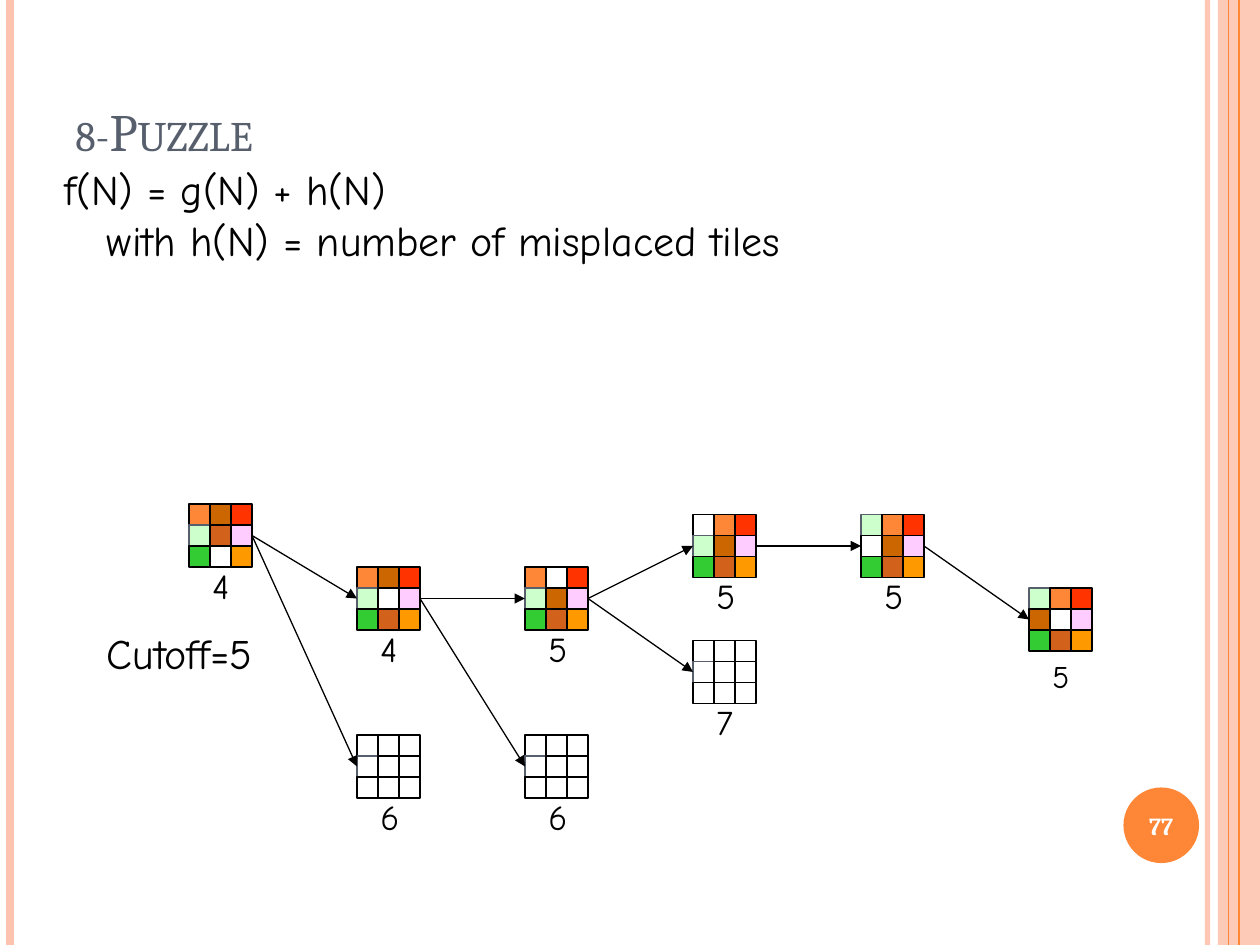
from lxml.etree import SubElement
from pptx import Presentation
from pptx.dml.color import RGBColor
from pptx.enum.shapes import MSO_CONNECTOR, MSO_SHAPE
from pptx.enum.text import MSO_ANCHOR, PP_ALIGN
from pptx.oxml.ns import qn
from pptx.util import Pt

ORANGE, PEACH, SLATE, BLACK, WHITE = "FE8637", "FEC3AE", "575F6D", "000000", "FFFFFF"
HEADING_FONT, BODY_FONT = "Cambria", "Comic Neue"
WIDTH, HEIGHT = 720, 540
TILE = 12

# Tile letter -> fill; "_" is the empty square, "g" and "G" have a slate outline
TILES = {"O": ORANGE, "B": "CC6600", "R": "FF3300", "G": "CCFFCC", "D": "D2611C",
         "P": "FFCCFF", "L": "33CC33", "Y": "FF9900", "_": WHITE, "g": WHITE}
UNEXPANDED = "___ g__ ___"

# Search nodes: name -> (depth, top, board rows, f value)
NODES = {
    "start": (0, 288, "OBR GDP L_Y", "4"),
    "up": (1, 324, "OBR G_P LDY", "4"),
    "cut 1": (1, 420, UNEXPANDED, "6"),
    "up up": (2, 324, "O_R GBP LDY", "5"),
    "cut 2": (2, 420, UNEXPANDED, "6"),
    "left": (3, 294, "_OR GBP LDY", "5"),
    "cut 3": (3, 366, UNEXPANDED, "7"),
    "down": (4, 294, "GOR _BP LDY", "5"),
    "right": (5, 336, "GOR B_P LDY", "5"),
}
MOVES = [("start", "up"), ("start", "cut 1"), ("up", "up up"), ("up", "cut 2"),
         ("up up", "left"), ("up up", "cut 3"), ("left", "down"), ("down", "right")]
FIRST_LEFT, DEPTH_STEP = 108, 96

# Vertical rails: x, colour, width, opacity in percent
RAILS = [(690, PEACH, 3, 93), (5.5, PEACH, 4.5, 100), (708, ORANGE, 1.5, 100),
         (702, ORANGE, 0.75, 100)]


def rgb(value):
    return RGBColor.from_string(value)


def set_opacity(element, percent):
    color = next(element.iter(qn("a:srgbClr")))
    SubElement(color, qn("a:alpha")).set("val", str(percent * 1000))


def add_filled(shapes, kind, box, fill, outline=None):
    shape = shapes.add_shape(kind, *map(Pt, box))
    shape.shadow.inherit = False
    shape.fill.solid()
    shape.fill.fore_color.rgb = rgb(fill)
    if outline:
        shape.line.color.rgb = rgb(outline)
        shape.line.width = Pt(0.75)
    else:
        shape.line.fill.background()
    return shape


def add_line(start, end, color, width):
    line = slide.shapes.add_connector(MSO_CONNECTOR.STRAIGHT, *map(Pt, start + end))
    line.line.color.rgb = rgb(color)
    line.line.width = Pt(width)
    SubElement(line._element.spPr, qn("a:effectLst"))
    return line


def style(run, size, font, color):
    run.font.size = Pt(size)
    run.font.name = font
    run.font.color.rgb = rgb(color)


def add_text(shapes, box, text, size, font=BODY_FONT, color=BLACK):
    text_box = shapes.add_textbox(*map(Pt, box))
    frame = text_box.text_frame
    frame.word_wrap = False
    frame.text = text
    for paragraph in frame.paragraphs:
        style(paragraph.runs[0], size, font, color)
    return frame


def add_node(depth, top, rows, value):
    """Draw a board with its value; return its middle-left and middle-right tiles."""
    left = FIRST_LEFT + depth * DEPTH_STEP
    node = slide.shapes.add_group_shape().shapes
    last = depth == 5
    add_text(node, (left + 6.3, top + (36 if last else 31), 26.4, 31), value,
             18 if last else 20)
    tiles = {}
    for r, row in enumerate(rows.split()):
        for c, letter in enumerate(row):
            tiles[r, c] = add_filled(
                node, MSO_SHAPE.RECTANGLE,
                (left + c * TILE, top + r * TILE, TILE, TILE),
                TILES[letter], SLATE if letter in "Gg" else BLACK)
    return tiles[1, 0], tiles[1, 2]


presentation = Presentation()
presentation.slide_width, presentation.slide_height = Pt(WIDTH), Pt(HEIGHT)
slide = presentation.slides.add_slide(presentation.slide_layouts[6])

# Side band and rails
band = add_filled(slide.shapes, MSO_SHAPE.RECTANGLE, (696, 0, 24, HEIGHT), PEACH)
set_opacity(band._element.spPr, 87)
for x, color, width, opacity in RAILS:
    rail = add_line((x, 0), (x, HEIGHT), color, width)
    if opacity < 100:
        set_opacity(rail._element.spPr, opacity)

# Page number badge
badge = add_filled(slide.shapes, MSO_SHAPE.OVAL, (642, 450, 43.2, 43.2), ORANGE)
page_number = badge.text_frame
page_number.margin_left = page_number.margin_right = 0
page_number.vertical_anchor = MSO_ANCHOR.MIDDLE
page_number.text = "77"
page_number.paragraphs[0].alignment = PP_ALIGN.CENTER
style(page_number.paragraphs[0].runs[0], 14, HEADING_FONT, WHITE)
page_number.paragraphs[0].runs[0].font.bold = True

# Title and evaluation function
title = add_text(slide.shapes, (36, 6, 588, 90), "8-Puzzle", 30, HEADING_FONT, SLATE)
title.word_wrap = True
title.vertical_anchor = MSO_ANCHOR.BOTTOM
title.paragraphs[0].runs[0].font._element.set("cap", "small")

evaluation = add_text(slide.shapes, (30, 90, 455, 65),
                      "f(N) = g(N) + h(N)\nwith h(N) = number of misplaced tiles", 24)
evaluation.paragraphs[1]._p.get_or_add_pPr().set("marL", str(Pt(24)))
add_text(slide.shapes, (54, 355, 116.6, 36), "Cutoff=5", 24)

# Search tree
sides = {name: add_node(*node) for name, node in NODES.items()}
for parent, child in MOVES:
    arrow = add_line((0, 0), (0, 0), BLACK, 0.75)
    arrow.begin_connect(sides[parent][1], 3)
    arrow.end_connect(sides[child][0], 1)
    SubElement(arrow.line._get_or_add_ln(), qn("a:tailEnd")).set("type", "triangle")

presentation.save("out.pptx")
